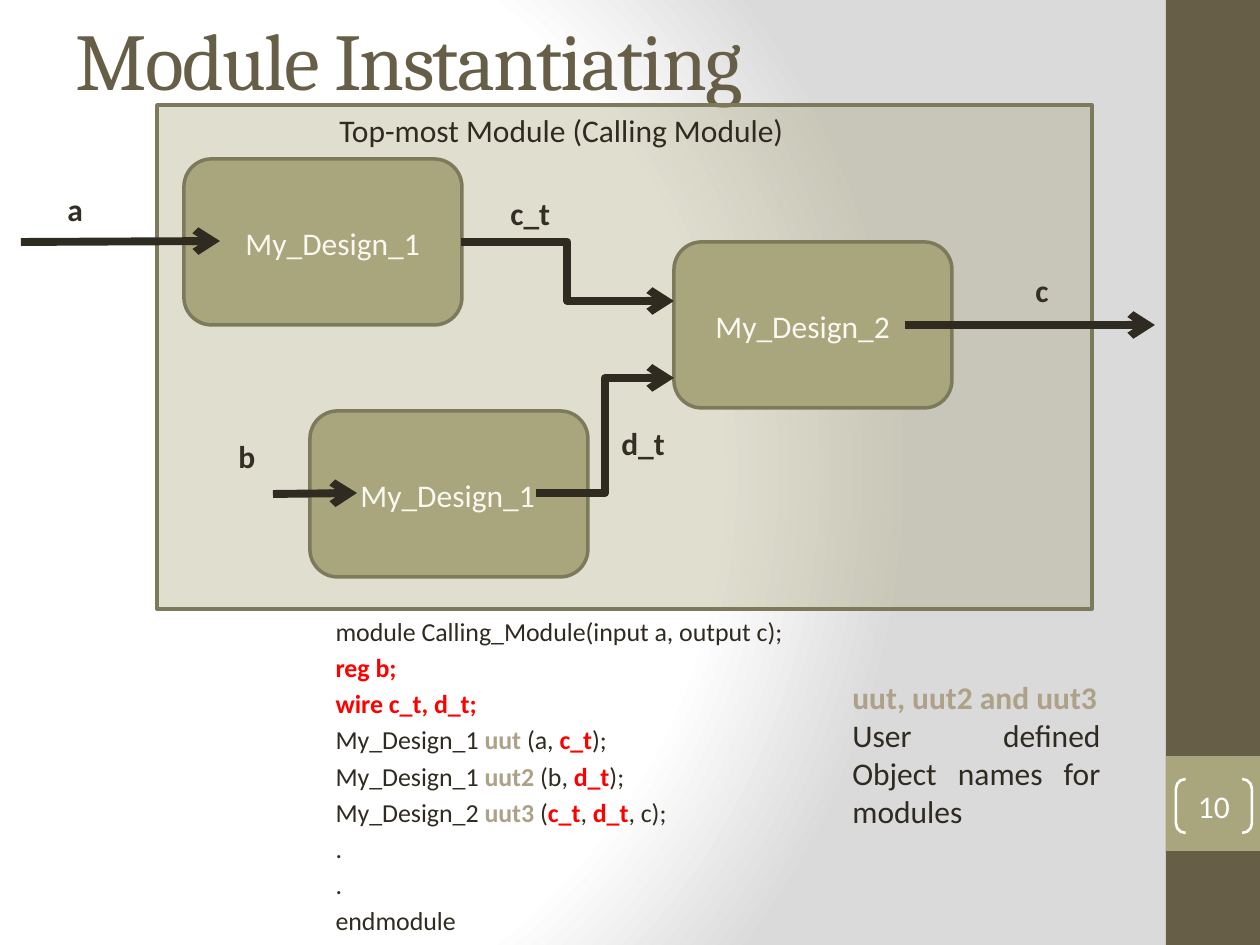
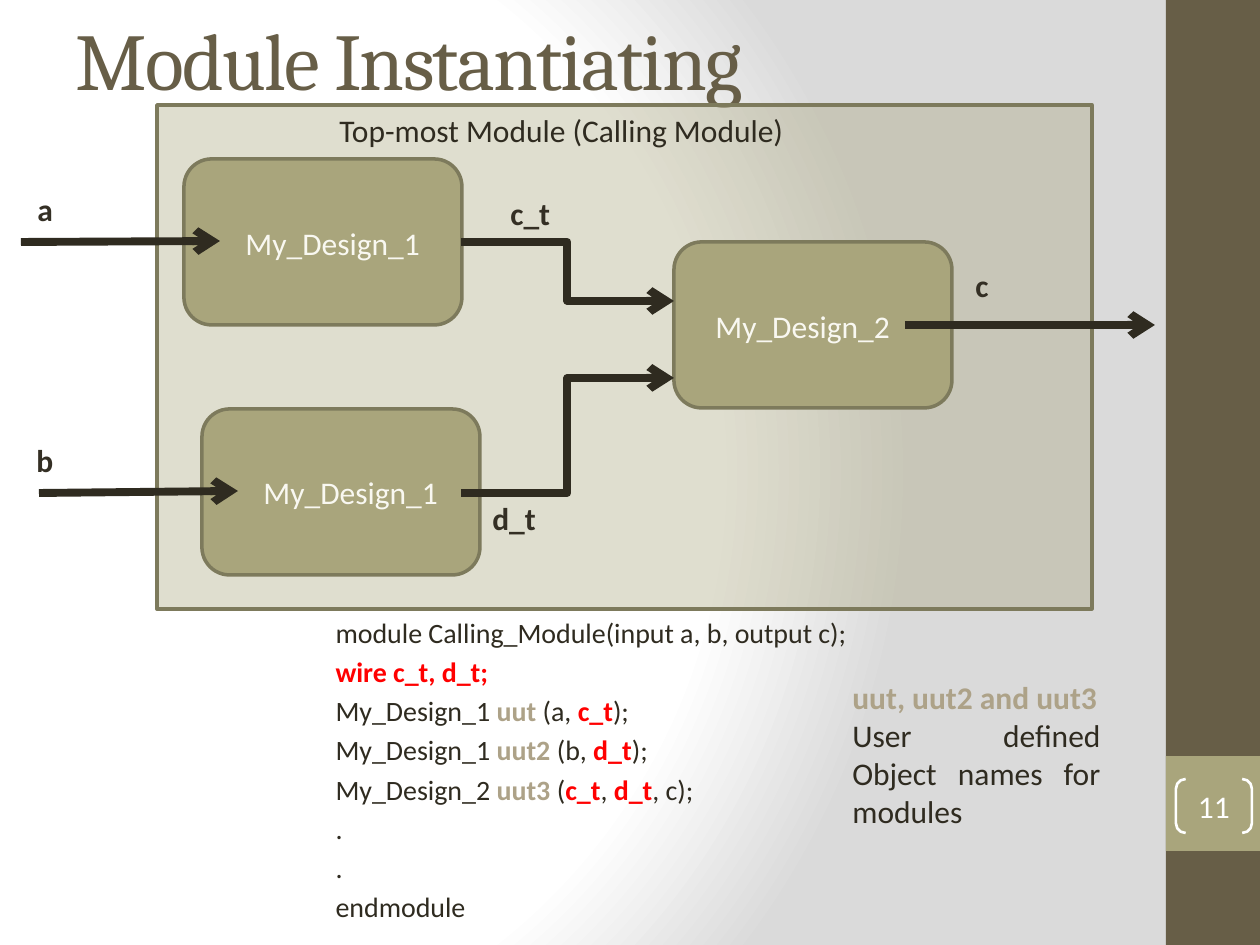
from dataclasses import dataclass

from lxml.etree import SubElement
from pptx import Presentation
from pptx.dml.color import RGBColor
from pptx.enum.shapes import MSO_CONNECTOR, MSO_SHAPE
from pptx.enum.text import MSO_ANCHOR, MSO_AUTO_SIZE, PP_ALIGN
from pptx.oxml import parse_xml
from pptx.oxml.ns import nsdecls, qn
from pptx.util import Inches, Pt

PX = 914400 // 126  # EMU in one px, 126 px to the inch


@dataclass(frozen=True)
class Theme:
    heading_font: str = "Cambria"
    body_font: str = "Calibri"
    title_size: float = 46
    text_size: float = 18
    brown: str = "675E47"
    olive: str = "A9A57C"
    outline: str = "7D7A5C"
    ink: str = "2F2B20"
    label: str = "342F24"
    cream: str = "F9F8F1"
    tan: str = "ADA288"
    red: str = "FF0000"
    white: str = "FFFFFF"
    grey: str = "DADADA"


theme = Theme()


def write(text_frame, lines, colour, size=theme.text_size, bold=False,
          align=PP_ALIGN.LEFT, font=theme.body_font):
    """Write lines of runs split by "|"; "!" marks a red run and "~" a tan one."""
    marks = {"!": theme.red, "~": theme.tan}
    text_frame.word_wrap = True
    text_frame.auto_size = MSO_AUTO_SIZE.NONE
    for index, line in enumerate(lines):
        paragraph = text_frame.add_paragraph() if index else text_frame.paragraphs[0]
        paragraph.alignment = align
        for piece in line.split("|"):
            run = paragraph.add_run()
            run.text = piece.lstrip("!~")
            run.font.name = font
            run.font.size = Pt(size)
            run.font.bold = bold or piece[0] in marks
            run.font.color.rgb = RGBColor.from_string(marks.get(piece[0], colour))


def add_arrow(shapes, kind, points):
    arrow = shapes.add_connector(kind, *(value * PX for value in points))
    arrow.line.color.rgb = RGBColor.from_string(theme.ink)
    arrow.line.width = Pt(4.5)
    SubElement(arrow.line._get_or_add_ln(), qn("a:tailEnd"), type="arrow")
    SubElement(arrow._element.spPr, qn("a:effectLst"))


# What differs between the two slides
INSTANCES = [
    "My_Design_1 |~uut |(a, |!c_t|);",
    "My_Design_1 |~uut2| (b, |!d_t|);",
    "My_Design_2 |~uut3| (|!c_t|, |!d_t|, c);",
    ".",
    ".",
    "endmodule",
]
SLIDES = [
    {
        "number": "10",
        "code_size": 14.8,
        "code": ["module Calling_Module(input a, output c);", "!reg b;", "!wire c_t, d_t;"],
        "lower_block": (310, 411),
        "lower_name": (348, 470),
        "lower_input": (273, 494, 357, 493),
        "lower_output": (536, 493, 674, 378),
        "labels": {"c_t": (498, 188), "d_t": (609, 418), "c": (1023, 265),
                   "b": (226, 431), "a": (55, 184)},
    },
    {
        "number": "11",
        "code_size": 16,
        "code": ["module Calling_Module(input a, b, output c);", "!wire c_t, d_t;"],
        "lower_block": (202, 409),
        "lower_name": (251, 467),
        "lower_input": (39, 493, 238, 491),
        "lower_output": (461, 493, 674, 378),
        "labels": {"c_t": (498, 188), "d_t": (480, 493), "c": (963, 260),
                   "b": (24, 435), "a": (25, 184)},
    },
]

presentation = Presentation()
presentation.slide_width = Inches(10)
presentation.slide_height = Inches(7.5)
layout = presentation.slide_layouts[1]

# Shared background: a radial gradient on the master
master = presentation.slide_master
master.background.fill.solid()
background = master._element.find(".//" + qn("p:bgPr"))
stops = "".join(
    f'<a:gs pos="{position}000"><a:srgbClr val="{colour}"/></a:gs>'
    for position, colour in [(0, theme.white), (75, theme.white), (100, theme.grey)]
)
background.replace(background[0], parse_xml(
    f'<a:gradFill {nsdecls("a")} rotWithShape="1"><a:gsLst>{stops}</a:gsLst>'
    '<a:path path="circle"><a:fillToRect l="20000" t="50000" r="100000" b="50000"/>'
    '</a:path></a:gradFill>'
))

# Shared title and body positions
for placeholder, box in zip(layout.placeholders, [(63, -21, 1134, 158), (323, 609, 562, 336)]):
    (placeholder.left, placeholder.top,
     placeholder.width, placeholder.height) = (value * PX for value in box)

slides = [presentation.slides.add_slide(layout) for _ in SLIDES]

# Shared side bands: drawn once, then moved to the layout
bands = [((1166, 0, 95, 945), theme.brown), ((1166, 756, 95, 95), theme.olive)]
first_placeholder = layout.placeholders[0]._element
for band_id, (box, colour) in enumerate(bands, start=20):
    band = slides[0].shapes.add_shape(MSO_SHAPE.RECTANGLE, *(value * PX for value in box))
    band.shadow.inherit = False
    band.fill.solid()
    band.fill.fore_color.rgb = RGBColor.from_string(colour)
    band.line.fill.background()
    band._element.nvSpPr.cNvPr.set("id", str(band_id))
    first_placeholder.addprevious(band._element)

for slide, content in zip(slides, SLIDES):
    shapes = slide.shapes

    # Title
    title = shapes.title.text_frame
    title.vertical_anchor = MSO_ANCHOR.MIDDLE
    write(title, ["Module Instantiating"], theme.brown, theme.title_size,
          font=theme.heading_font)
    title.paragraphs[0].runs[0].font._element.set("spc", "-100")

    # Code listing
    code = slide.placeholders[1].text_frame
    write(code, content["code"] + INSTANCES, theme.ink, content["code_size"])
    for paragraph in code.paragraphs:
        properties = paragraph._element.get_or_add_pPr()
        properties.set("marL", "0")
        properties.set("indent", "0")
        SubElement(properties, qn("a:buNone"))

    # Calling module and the three modules inside it, each with its straight arrow
    modules = [
        (MSO_SHAPE.RECTANGLE, (157, 105, 935, 504), None, None, None),
        (MSO_SHAPE.ROUNDED_RECTANGLE, (184, 159, 278, 166), "My_Design_1",
         (233, 218), (21, 242, 220, 241)),
        (MSO_SHAPE.ROUNDED_RECTANGLE, (674, 242, 278, 166), "My_Design_2",
         (703, 301), (905, 325, 1155, 325)),
        (MSO_SHAPE.ROUNDED_RECTANGLE, (*content["lower_block"], 278, 166), "My_Design_1",
         content["lower_name"], content["lower_input"]),
    ]
    for kind, box, name, name_corner, arrow in modules:
        parent = shapes.add_group_shape().shapes if name else shapes
        block = parent.add_shape(kind, *(value * PX for value in box))
        block.shadow.inherit = False
        block.fill.solid()
        block.fill.fore_color.rgb = RGBColor.from_string(theme.olive)
        block.line.color.rgb = RGBColor.from_string(theme.outline)
        block.line.width = Pt(2)
        if name:
            name_box = parent.add_textbox(*(value * PX for value in (*name_corner, 208, 50)))
            write(name_box.text_frame, [name], theme.cream)
            add_arrow(parent, MSO_CONNECTOR.STRAIGHT, arrow)
        else:
            colour = block._element.spPr.find(qn("a:solidFill"))[0]
            SubElement(colour, qn("a:alpha"), val="36000")

    # Wires between the modules
    for wire in (content["lower_output"], (461, 242, 674, 301)):
        add_arrow(shapes, MSO_CONNECTOR.ELBOW, wire)

    # Heading of the calling module, note and signal labels
    texts = [
        ((325, 105, 473, 50), ["Top-most Module (Calling Module)"],
         theme.ink, False, PP_ALIGN.CENTER),
        ((840, 672, 273, 165),
         ["~uut, uut2 and uut3", "User defined Object names for modules"],
         theme.ink, False, PP_ALIGN.JUSTIFY),
    ]
    for signal, corner in content["labels"].items():
        texts.append(((*corner, 131, 50), [signal], theme.label, True, PP_ALIGN.LEFT))
    for box, lines, colour, bold, align in texts:
        text_box = shapes.add_textbox(*(value * PX for value in box))
        write(text_box.text_frame, lines, colour, bold=bold, align=align)

    # Page number in brackets
    brackets = shapes.add_shape(MSO_SHAPE.DOUBLE_BRACKET,
                                *(value * PX for value in (1176, 779, 76, 54)))
    brackets.adjustments[0] = 0.18
    brackets.shadow.inherit = False
    brackets.fill.background()
    brackets.line.color.rgb = RGBColor.from_string(theme.white)
    brackets.line.width = Pt(1.5)
    number = brackets.text_frame
    number.margin_left = number.margin_right = number.margin_top = number.margin_bottom = 0
    number.vertical_anchor = MSO_ANCHOR.MIDDLE
    write(number, [content["number"]], theme.white, align=PP_ALIGN.CENTER)

presentation.save("out.pptx")
